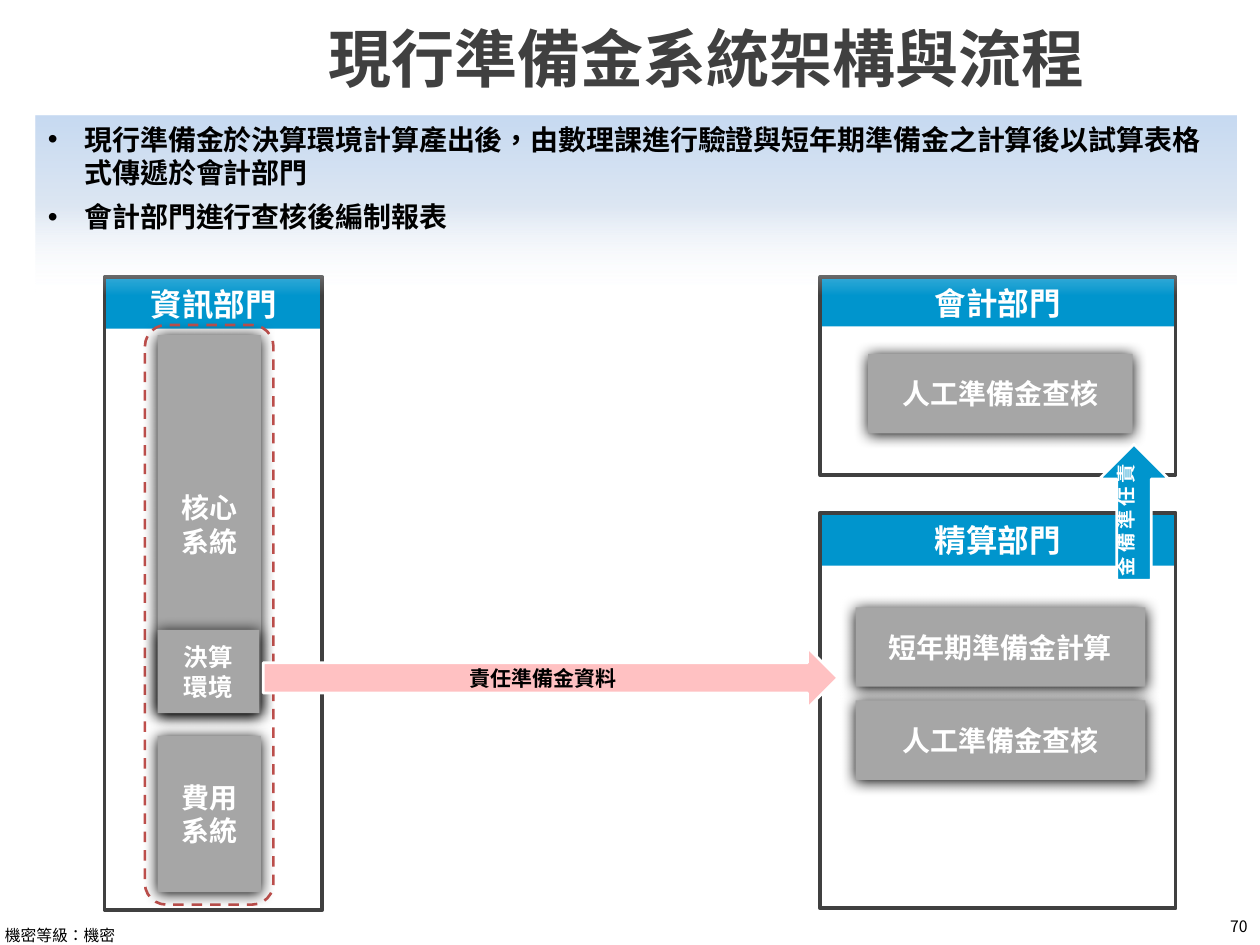
from dataclasses import dataclass
from typing import NamedTuple

from lxml.etree import SubElement
from pptx import Presentation
from pptx.dml.color import RGBColor
from pptx.enum.dml import MSO_LINE
from pptx.enum.shapes import MSO_SHAPE
from pptx.enum.text import MSO_ANCHOR, MSO_AUTO_SIZE, PP_ALIGN
from pptx.oxml.ns import qn
from pptx.util import Inches, Pt


@dataclass(frozen=True)
class Theme:
    """Colours, font and type sizes of the slide."""
    font: str = "Noto Sans CJK SC"
    language: str = "zh-TW"
    ink: str = "000000"
    dark: str = "404040"
    white: str = "FFFFFF"
    blue: str = "0095CD"
    grey: str = "A6A6A6"
    pink: str = "FFC1C2"
    red: str = "C0504D"
    sky: str = "C6D9F1"
    pale: str = "DCE6F2"
    title: int = 36
    heading: int = 18
    body: int = 16
    small: int = 14
    label: int = 12
    tag: int = 11
    note: int = 9


class Box(NamedTuple):
    """A rectangle in inches."""
    left: float
    top: float
    width: float
    height: float

    def inside(self, dx, dy, width, height):
        """Return a box offset from this one's top left corner."""
        return Box(self.left + dx, self.top + dy, width, height)

    def lengths(self):
        """Return the four sides as lengths."""
        return [Inches(side) for side in self]


THEME = Theme()


def place(shape, box):
    """Move and size a shape to a box."""
    shape.left, shape.top, shape.width, shape.height = box.lengths()


def write(frame, lines, size, color, bold=True, align=PP_ALIGN.CENTER):
    """Write one formatted run per line and return the paragraphs."""
    frame.word_wrap = True
    for index, line in enumerate(lines):
        paragraph = frame.add_paragraph() if index else frame.paragraphs[0]
        paragraph.alignment = align
        paragraph.space_before = Pt(0)
        run = paragraph.add_run()
        run.text = line
        run.font.size, run.font.bold = Pt(size), bold
        run.font.name = THEME.font
        run.font.color.rgb = RGBColor.from_string(color)
        run.font._element.set("lang", THEME.language)
        SubElement(run.font._element, qn("a:ea"), typeface=THEME.font)
    return frame.paragraphs


def add_panel(slide, box, fill=None, line=None, weight=1.5, kind=MSO_SHAPE.RECTANGLE):
    """Add a flat shape with optional fill and outline."""
    panel = slide.shapes.add_shape(kind, *box.lengths())
    panel.shadow.inherit = False
    if fill:
        panel.fill.solid()
        panel.fill.fore_color.rgb = RGBColor.from_string(fill)
    else:
        panel.fill.background()
    if line:
        panel.line.color.rgb = RGBColor.from_string(line)
        panel.line.width = Pt(weight)
    else:
        panel.line.fill.background()
    return panel


def label(panel, lines, size, color=THEME.white):
    """Centre text in a panel without margins."""
    frame = panel.text_frame
    frame.margin_left = frame.margin_right = frame.margin_top = frame.margin_bottom = 0
    frame.vertical_anchor = MSO_ANCHOR.MIDDLE
    write(frame, lines, size, color)


def add_system(slide, box, lines, size=THEME.body):
    """Add a grey block with a soft shadow."""
    block = add_panel(slide, box, THEME.grey)
    label(block, lines, size)
    effects = block.element.spPr.find(qn("a:effectLst"))
    shadow = SubElement(effects, qn("a:outerShdw"), blurRad=str(Pt(8.5)),
                        dist=str(Pt(1)), dir="5400000", rotWithShape="0")
    SubElement(shadow, qn("a:srgbClr"), val=THEME.ink)


def add_department(slide, box, name, band_height):
    """Add a department frame with its heading band."""
    band = add_panel(slide, box.inside(0.01, 0.01, box.width - 0.02, band_height), THEME.blue)
    label(band, [name], THEME.heading)
    add_panel(slide, box, line=THEME.dark, weight=2.25)


def add_it_department(slide, box):
    """Add the IT department and its systems."""
    add_department(slide, box, "資訊部門", 0.4)
    group = add_panel(slide, box.inside(0.32, 0.38, 1.02, 4.6), line=THEME.red,
                      kind=MSO_SHAPE.ROUNDED_RECTANGLE)
    group.line.dash_style = MSO_LINE.DASH
    add_system(slide, box.inside(0.42, 3.64, 0.82, 1.24), ["費用", "系統"])
    add_system(slide, box.inside(0.42, 0.46, 0.82, 3), ["核心", "系統"])
    add_system(slide, box.inside(0.42, 2.8, 0.81, 0.66), ["決算", "環境"], THEME.small)


def add_accounting_department(slide, box):
    """Add the accounting department and its check."""
    add_department(slide, box, "會計部門", 0.38)
    add_system(slide, box.inside(0.38, 0.61, 2.1, 0.63), ["人工準備金查核"])


def add_actuarial_department(slide, box):
    """Add the actuarial department and its two steps."""
    add_department(slide, box, "精算部門", 0.41)
    for row, step in enumerate(["短年期準備金計算", "人工準備金查核"]):
        add_system(slide, box.inside(0.28, 0.75 + 0.74 * row, 2.3, 0.63), [step])


def add_flow(slide, box, text, size, fill, color):
    """Add a labelled block arrow."""
    arrow = add_panel(slide, box, fill, THEME.white, kind=MSO_SHAPE.RIGHT_ARROW)
    label(arrow, [text], size, color)
    return arrow


def add_upward_flow(slide, box):
    """Add the arrow from the actuarial to the accounting department."""
    arrow = add_flow(slide, box, "責任準備金", THEME.tag, THEME.blue, THEME.white)
    arrow.rotation = 270
    arrow.element.find(".//" + qn("a:bodyPr")).set("vert", "eaVert")


def set_title(slide, box):
    """Fill the title placeholder."""
    title = slide.shapes.title
    place(title, box)
    title.text_frame.auto_size = MSO_AUTO_SIZE.NONE
    title.text_frame.vertical_anchor = MSO_ANCHOR.MIDDLE
    write(title.text_frame, ["現行準備金系統架構與流程"], THEME.title, THEME.dark,
          align=PP_ALIGN.LEFT)


def set_summary(slide, box):
    """Fill the body placeholder and lay its fading band over the frames."""
    summary = slide.placeholders[1]
    place(summary, box)
    summary.text_frame.auto_size = MSO_AUTO_SIZE.NONE
    points = ["現行準備金於決算環境計算產出後，由數理課進行驗證與短年期準備金之計算後以試算表格式傳遞於會計部門",
              "會計部門進行查核後編制報表"]
    for paragraph in write(summary.text_frame, points, THEME.body, THEME.ink, align=PP_ALIGN.LEFT):
        paragraph.space_after = Pt(6)
        properties = paragraph._p.get_or_add_pPr()
        properties.set("marL", str(Inches(0.29)))
        properties.set("indent", str(-Inches(0.29)))
        SubElement(properties, qn("a:buChar"), char="•")
    gradient = SubElement(summary.element.spPr, qn("a:gradFill"))
    stops = SubElement(gradient, qn("a:gsLst"))
    for position, color, alpha in [(0, THEME.sky, 100), (50, THEME.pale, 100), (100, THEME.white, 0)]:
        stop = SubElement(stops, qn("a:gs"), pos=str(position * 1000))
        tint = SubElement(stop, qn("a:srgbClr"), val=color)
        SubElement(tint, qn("a:alpha"), val=str(alpha * 1000))
    SubElement(gradient, qn("a:lin"), ang="5400000", scaled="0")
    summary.element.getparent().append(summary.element)


def add_note(slide, box, text, align):
    """Add a small line at the foot of the slide."""
    note = slide.shapes.add_textbox(*box.lengths())
    write(note.text_frame, [text], THEME.note, THEME.ink, False, align)


def main():
    """Build the slide and save it."""
    deck = Presentation()
    deck.slide_width, deck.slide_height = Inches(10), Inches(7.5)
    slide = deck.slides.add_slide(deck.slide_layouts[1])
    set_title(slide, Box(2.51, 0.13, 7.4, 0.65))
    add_note(slide, Box(9.32, 7.23, 0.68, 0.25), "70", PP_ALIGN.RIGHT)
    add_note(slide, Box(-0.06, 7.3, 7.42, 0.31), "機密等級：機密", PP_ALIGN.LEFT)
    add_it_department(slide, Box(0.83, 2.2, 1.73, 5.02))
    add_accounting_department(slide, Box(6.51, 2.2, 2.82, 1.57))
    add_actuarial_department(slide, Box(6.51, 4.07, 2.82, 3.14))
    add_flow(slide, Box(2.09, 5.14, 4.56, 0.48), "責任準備金資料", THEME.label, THEME.pink, THEME.ink)
    add_upward_flow(slide, Box(8.46, 3.79, 1.08, 0.55))
    set_summary(slide, Box(0.28, 0.92, 9.53, 1.42))
    deck.save("out.pptx")


if __name__ == "__main__":
    main()
